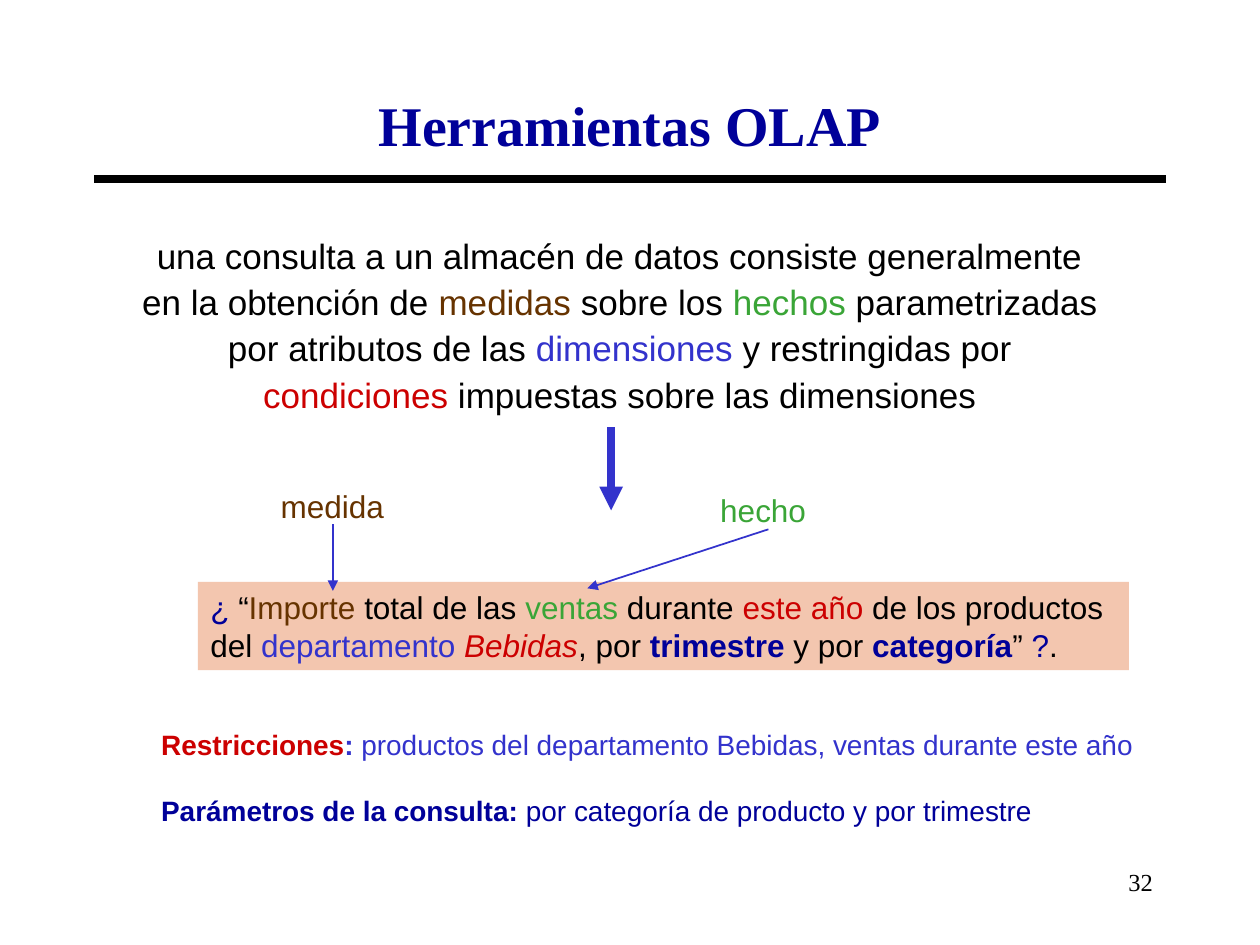
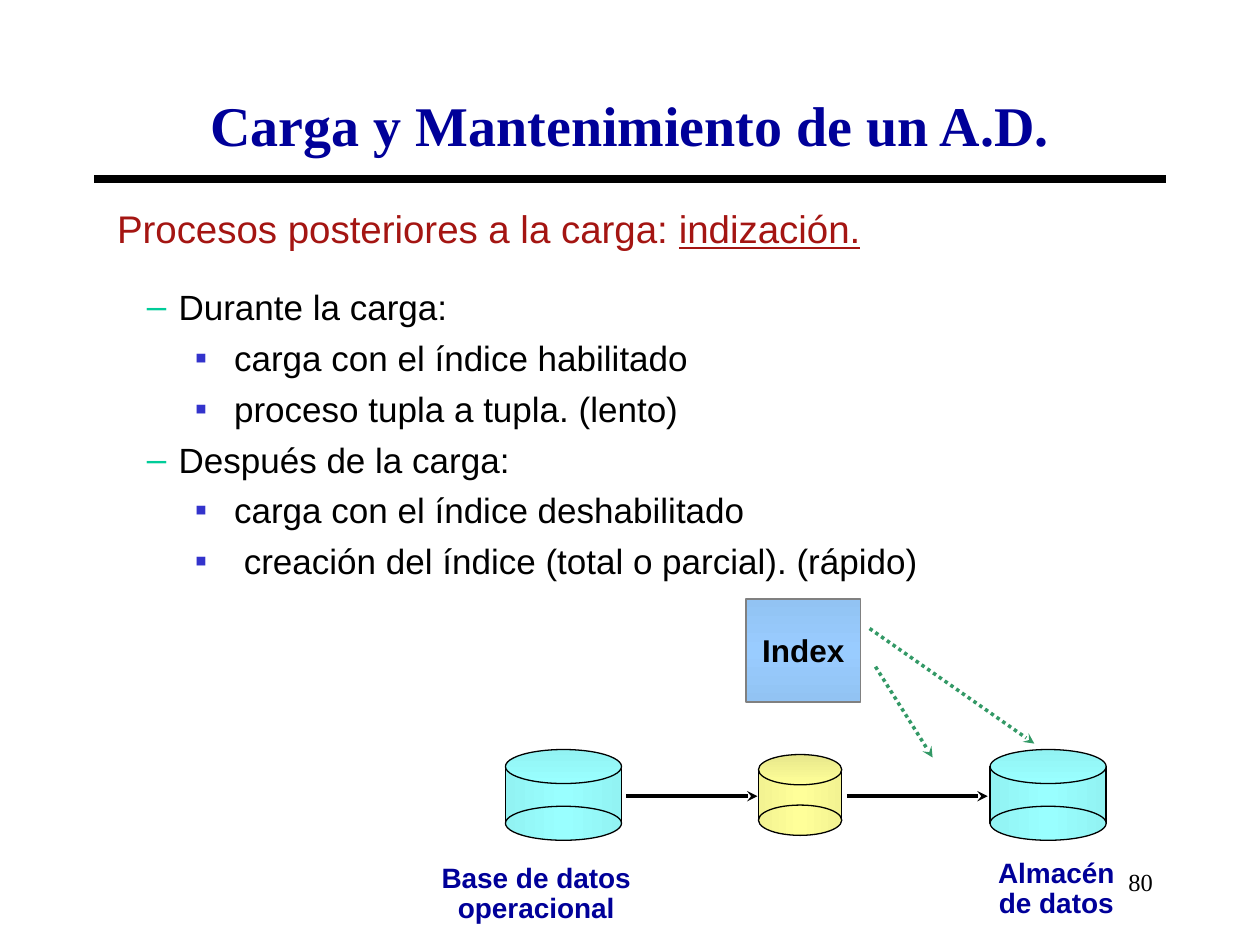
from lxml.etree import SubElement
from pptx import Presentation
from pptx.dml.color import RGBColor
from pptx.enum.dml import MSO_LINE
from pptx.enum.shapes import MSO_CONNECTOR, MSO_SHAPE as SHAPE
from pptx.enum.text import MSO_ANCHOR as ANCHOR, PP_ALIGN as ALIGN
from pptx.oxml.ns import qn
from pptx.util import Cm, Pt

COLORS = {
    "black": "000000", "navy": "000099", "blue": "3333CC", "brown": "663300",
    "green": "3AA537", "red": "CC0000", "crimson": "A41512", "peach": "F3C6AF",
    "mint": "00CC99", "sea": "339966", "gray": "808080",
    "sky": "99CCFF", "sky_dark": "92C3F3",
    "cyan": "99FFFF", "cyan_dark": "92F3F3",
    "yellow": "FFFF99", "yellow_dark": "F3F392", "yellow_lid": "E7E78B",
}
BODY, SERIF = "Arial", "Times New Roman"


def rgb(name):
    return RGBColor.from_string(COLORS[name])


def add_runs(p, runs, size, font=BODY):
    """Add (text, colour, style) runs; style holds any of the letters b, i, u."""
    for text, color, *style in runs:
        r = p.add_run()
        r.text = text
        f = r.font
        f.name, f.size, f.color.rgb = font, Pt(size), rgb(color)
        flags = "".join(style)
        f.bold, f.italic, f.underline = ("b" in flags, "i" in flags, "u" in flags)


def add_text(s, box, runs, size, font=BODY, align=ALIGN.LEFT, spacing=None):
    sp = s.shapes.add_textbox(*map(Cm, box))
    tf = sp.text_frame
    tf.word_wrap = True
    p = tf.paragraphs[0]
    p.alignment = align
    if spacing:
        p.line_spacing = spacing
    add_runs(p, runs, size, font)
    return sp


def add_line(s, start, end, color, width, head=None, dash=None):
    line = s.shapes.add_connector(MSO_CONNECTOR.STRAIGHT, *map(Cm, start + end))
    line.line.color.rgb = rgb(color)
    line.line.width = Pt(width)
    if dash:
        line.line.dash_style = dash
    if head:
        SubElement(line.line._get_or_add_ln(), qn("a:tailEnd"), type=head)
    SubElement(line._element.spPr, qn("a:effectLst"))


def add_gradient_shape(s, kind, box, stops, angle, line, width):
    """Add a shape whose colour stops are evenly spaced, angle clockwise."""
    sp = s.shapes.add_shape(kind, *map(Cm, box))
    sp.shadow.inherit = False
    sp.line.color.rgb = rgb(line)
    sp.line.width = Pt(width)
    sp.fill.gradient()
    sp.fill.gradient_angle = (360 - angle) % 360
    stop_list = sp._element.spPr.find(".//" + qn("a:gsLst"))
    stop_list.clear()
    for i, name in enumerate(stops):
        gs = SubElement(stop_list, qn("a:gs"), pos=str(100000 * i // (len(stops) - 1)))
        SubElement(gs, qn("a:srgbClr"), val=COLORS[name])
    return sp


def add_bullet(p, char, color, margin, indent):
    pPr = p._p.get_or_add_pPr()
    pPr.set("marL", str(Cm(margin)))
    pPr.set("indent", str(Cm(indent)))
    SubElement(SubElement(pPr, qn("a:buClr")), qn("a:srgbClr"), val=COLORS[color])
    SubElement(pPr, qn("a:buFont"), typeface=BODY)
    SubElement(pPr, qn("a:buChar"), char=char)


def add_base_slide(prs, title, number):
    """Add a blank slide with the shared title, rule and page number."""
    s = prs.slides.add_slide(prs.slide_layouts[6])
    add_line(s, (1.9, 3.61), (23.5, 3.61), "black", 4.5)
    add_text(s, (18.21, 17.35, 5.28, 1.27), [(number, "black")], 14, SERIF, ALIGN.RIGHT)
    add_text(s, (1.9, 1.7, 21.6, 3.18), [(title, "navy", "b")], 32, SERIF, ALIGN.CENTER)
    return s


def draw_query(s, x, y):
    """Draw the sample query with the labels that point into it."""
    def at(dx, dy):
        return x + dx, y + dy

    band = add_text(s, at(0, 3.12) + (18.77, 1.78), [
        ("¿ ", "navy"), ("“", "black"), ("Importe", "brown"),
        (" total de las ", "black"), ("ventas", "green"), (" durante ", "black"),
        ("este año", "red"), (" de los productos del ", "black"),
        ("departamento ", "blue"), ("Bebidas", "red", "i"), (", por ", "black"),
        ("trimestre", "navy", "b"), (" y por ", "black"),
        ("categoría", "navy", "b"), ("” ", "black"), ("?", "navy"), (".", "black"),
    ], 18)
    band.fill.solid()
    band.fill.fore_color.rgb = rgb("peach")
    add_line(s, at(8.33, 0), at(8.33, 1.68), "blue", 4.5, "triangle")
    add_text(s, at(1.42, 1.09) + (4.42, 1.02), [("medida", "brown")], 18)
    add_line(s, at(2.72, 1.96), at(2.72, 3.3), "blue", 1, "triangle")
    add_text(s, at(10.28, 1.17) + (4.95, 1.02), [("hecho", "green")], 18)
    add_line(s, at(11.5, 2.06), at(7.85, 3.25), "blue", 1, "triangle")


def draw_cylinder(s, x, y, w, h, color, lid):
    cap = 0.375 * h
    shade = [color + "_dark", color, color + "_dark"]
    for kind, top, height, stops, angle in (
        (SHAPE.RECTANGLE, cap / 2, h - cap, shade, 0),
        (SHAPE.OVAL, 0, cap, [lid, color], 90),
        (SHAPE.OVAL, h - cap, cap, shade, 0),
    ):
        add_gradient_shape(s, kind, (x, y + top, w, height), stops, angle, "black", 0.75)


def draw_load_flow(s, x, y):
    """Draw the load from the operational database, and the index, at x, y."""
    def at(dx, dy):
        return x + dx, y + dy

    index = add_gradient_shape(s, SHAPE.RECTANGLE, at(6.73, 0) + (2.31, 2.08),
                               ["sky_dark", "sky", "sky_dark"], 90, "gray", 1)
    tf = index.text_frame
    tf.word_wrap = False
    tf.vertical_anchor = ANCHOR.MIDDLE
    tf.paragraphs[0].alignment = ALIGN.CENTER
    add_runs(tf.paragraphs[0], [("Index", "black", "b")], 18)

    for dx, dy, w, h, color, lid in (
        (1.88, 3.04, 2.34, 1.83, "cyan", "cyan_dark"),
        (6.98, 3.14, 1.68, 1.63, "yellow", "yellow_lid"),
        (11.65, 3.04, 2.34, 1.83, "cyan", "cyan_dark"),
    ):
        draw_cylinder(s, *at(dx, dy), w, h, color, lid)
    for left, right in ((4.31, 6.96), (8.76, 11.6)):
        add_line(s, at(left, 3.98), at(right, 3.98), "black", 2, "stealth")
    for start, end in (((9.22, 0.6), (12.54, 2.92)), ((9.34, 1.37), (10.49, 3.2))):
        add_line(s, at(*start), at(*end), "sea", 2, "stealth", MSO_LINE.ROUND_DOT)
    for dx, dy, w, text in (
        (11.22, 5.13, 3.53, "Almacén de datos"),
        (0, 5.23, 5, "Base de datos operacional"),
    ):
        add_text(s, at(dx, dy) + (w, 1.47), [(text, "navy", "b")], 16,
                 align=ALIGN.CENTER, spacing=0.9)


def draw_index_steps(s, box):
    """Draw the two-level list of ways to build the index."""
    steps = [
        ("Durante la carga:",
         ["carga con el índice habilitado", "proceso tupla a tupla. (lento)"]),
        ("Después de la carga:",
         ["carga con el índice deshabilitado",
          " creación del índice (total o parcial). (rápido)"]),
    ]
    tf = add_text(s, box, [], 20).text_frame
    p = tf.paragraphs[0]
    for i, (moment, details) in enumerate(steps):
        if i:
            p = tf.add_paragraph()
            p.space_before = Pt(5)
        add_bullet(p, "–", "mint", 0.94, -0.64)
        add_runs(p, [(moment, "black")], 20)
        for detail in details:
            p = tf.add_paragraph()
            p.space_before = Pt(5)
            add_bullet(p, "▪", "blue", 2.06, -0.79)
            add_runs(p, [(detail, "black")], 20)


def build_olap_slide(prs):
    s = add_base_slide(prs, "Herramientas OLAP", "32")
    add_text(s, (2.54, 4.52, 19.91, 3.99), [
        ("una consulta a un almacén de datos consiste generalmente "
         "en la obtención de ", "black"),
        ("medidas", "brown"), (" sobre los ", "black"), ("hechos", "green"),
        (" parametrizadas por atributos de las ", "black"),
        ("dimensiones", "blue"), (" y restringidas por ", "black"),
        ("condiciones", "red"), (" impuestas sobre las dimensiones", "black"),
    ], 20, align=ALIGN.CENTER, spacing=1.1)
    draw_query(s, 3.99, 8.61)
    add_text(s, (3, 14.55, 20.68, 0.94), [
        ("Restricciones", "red", "b"), (": ", "blue", "b"),
        ("productos del departamento Bebidas, ventas durante este año", "blue"),
    ], 16)
    add_text(s, (3, 15.88, 18.19, 0.94), [
        ("Parámetros de la consulta:", "navy", "b"),
        (" por categoría de producto y por trimestre", "navy"),
    ], 16)


def build_load_slide(prs):
    s = add_base_slide(prs, "Carga y Mantenimiento de un A.D.", "80")
    add_text(s, (2.11, 4.01, 20.27, 1.63), [
        ("Procesos posteriores a la carga: ", "crimson"),
        ("indización.", "crimson", "u"),
    ], 22)
    draw_index_steps(s, (2.41, 5.64, 20.52, 6.17))
    draw_load_flow(s, 8.31, 12.07)


def main():
    prs = Presentation()
    prs.slide_width, prs.slide_height = Cm(25.4), Cm(19.05)
    build_olap_slide(prs)
    build_load_slide(prs)
    prs.save("out.pptx")


if __name__ == "__main__":
    main()
